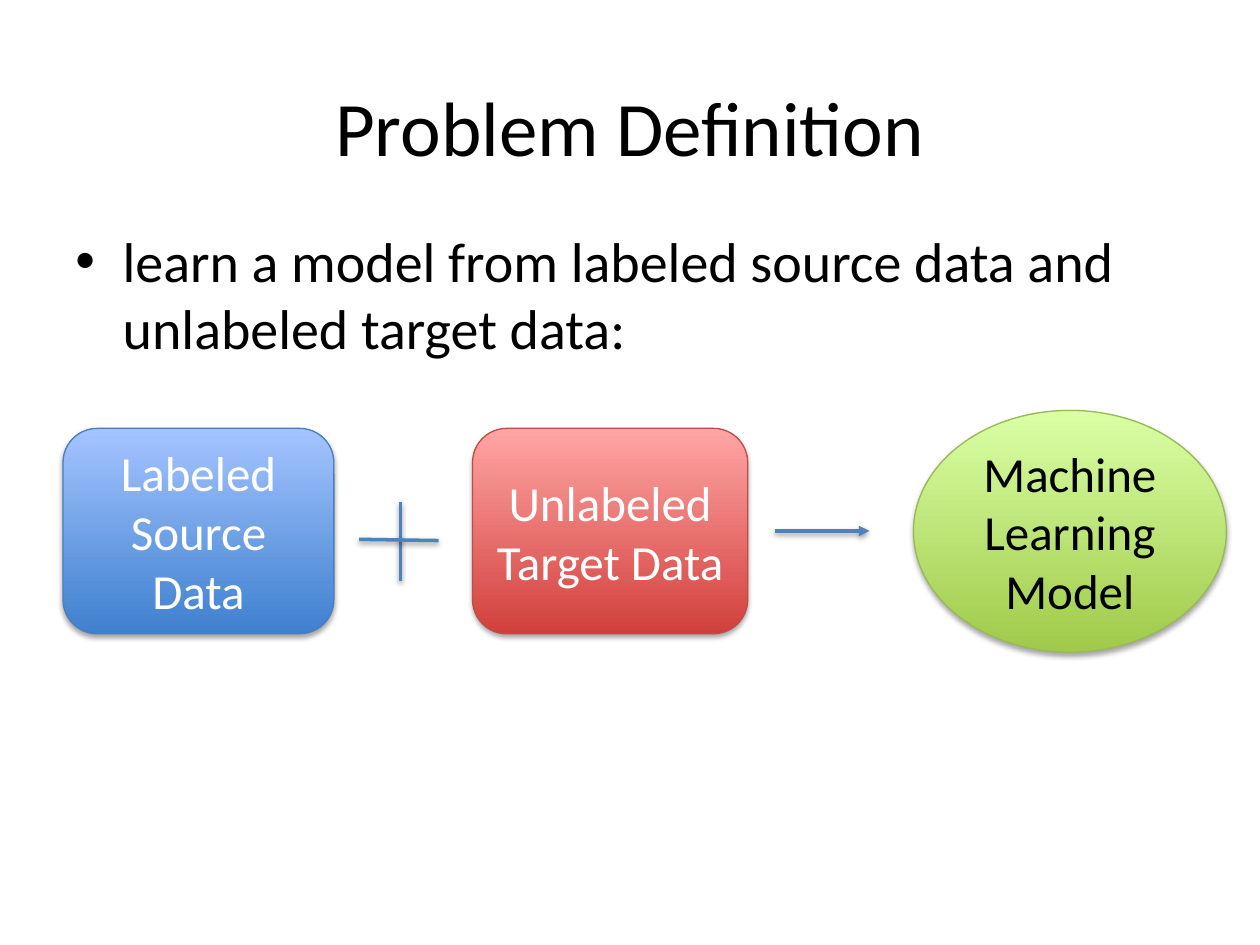
"""Builds the Problem Definition slide: labeled plus unlabeled data give a model."""
import lxml.etree
import pptx
import pptx.dml.color
import pptx.enum.shapes
import pptx.enum.text
import pptx.oxml.ns
import pptx.util

Pt = pptx.util.Pt
RGB = pptx.dml.color.RGBColor.from_string
qn = pptx.oxml.ns.qn
PRESET = pptx.enum.shapes.MSO_SHAPE
ANCHOR = pptx.enum.text.MSO_ANCHOR
ALIGN = pptx.enum.text.PP_ALIGN

THEME = {
    "font": "Calibri",
    "title": 44,
    "body": 32,
    "label": 28,
    "black": "000000",
    "white": "FFFFFF",
    "stroke": "4F81BD",
    "blue": ("3F80CE", "A4C4FF", "4B7EBC"),
    "red": ("D1403C", "FFA6A5", "BF4C48"),
    "green": ("A0CA4A", "DAFFA5", "98B955"),
}


def write(holder, words, size, color, anchor, align):
    frame = holder.text_frame
    frame.word_wrap = True
    frame.vertical_anchor = anchor
    paragraph = frame.paragraphs[0]
    paragraph.alignment = align
    run = paragraph.add_run()
    run.text = words
    run.font.name = THEME["font"]
    run.font.size = Pt(THEME[size])
    run.font.color.rgb = RGB(THEME[color])
    return paragraph


def cast_shadow(item, opacity, distance):
    effects = lxml.etree.SubElement(item._element.spPr, qn("a:effectLst"))
    shadow = lxml.etree.SubElement(
        effects, qn("a:outerShdw"), blurRad=str(Pt(3.1)), dist=str(Pt(distance)),
        dir="5400000", rotWithShape="0")
    shade = lxml.etree.SubElement(shadow, qn("a:srgbClr"), val=THEME["black"])
    lxml.etree.SubElement(shade, qn("a:alpha"), val=str(opacity * 1000))


deck = pptx.Presentation()
deck.slide_width, deck.slide_height = Pt(720), Pt(540)
slide = deck.slides.add_slide(deck.slide_layouts[6])

heading = slide.shapes.add_textbox(Pt(36), Pt(27), Pt(648), Pt(90))
write(heading, "Problem Definition", "title", "black", ANCHOR.MIDDLE, ALIGN.CENTER)

stages = [
    ("Labeled Source Data", PRESET.ROUNDED_RECTANGLE, 36, 244.8, 154.8, 117.4, "blue", "white"),
    ("Unlabeled Target Data", PRESET.ROUNDED_RECTANGLE, 270, 244.8, 157.3, 117.4, "red", "white"),
    ("Machine Learning Model", PRESET.OVAL, 522, 234.5, 178.8, 138.2, "green", "black"),
]
for words, preset, left, top, width, height, palette, ink in stages:
    stage = slide.shapes.add_shape(preset, Pt(left), Pt(top), Pt(width), Pt(height))
    dark, light, edge = THEME[palette]
    stage.fill.gradient()
    stage.fill.gradient_angle = 90
    for stop, position, color in zip(stage.fill.gradient_stops, (0, 1), (dark, light)):
        stop.position = position
        stop.color.rgb = RGB(color)
    stage.line.color.rgb = RGB(edge)
    stage.line.width = Pt(0.75)
    cast_shadow(stage, 35, 1.8)
    write(stage, words, "label", ink, ANCHOR.MIDDLE, ALIGN.CENTER)

strokes = [
    (229, 286.6, 229, 331.9, False),
    (250.6, 308.9, 205.2, 308.2, False),
    (442.8, 303.4, 496.8, 303.4, True),
]
for start_x, start_y, end_x, end_y, has_arrow in strokes:
    stroke = slide.shapes.add_connector(
        pptx.enum.shapes.MSO_CONNECTOR.STRAIGHT,
        Pt(start_x), Pt(start_y), Pt(end_x), Pt(end_y))
    stroke.line.color.rgb = RGB(THEME["stroke"])
    stroke.line.width = Pt(2)
    if has_arrow:
        outline = stroke._element.spPr.find(qn("a:ln"))
        lxml.etree.SubElement(outline, qn("a:tailEnd"), type="triangle")
    cast_shadow(stroke, 38, 1.6)

statement = slide.shapes.add_textbox(Pt(36), Pt(126), Pt(648), Pt(81))
goal = write(
    statement, "learn a model from labeled source data and unlabeled target data:",
    "body", "black", ANCHOR.TOP, ALIGN.LEFT)
goal.space_before = Pt(6.4)
goal_format = goal._p.get_or_add_pPr()
goal_format.set("marL", str(Pt(27)))
goal_format.set("indent", str(-Pt(27)))
lxml.etree.SubElement(goal_format, qn("a:buFont"), typeface="Arial")
lxml.etree.SubElement(goal_format, qn("a:buChar"), char="•")

deck.save("out.pptx")
